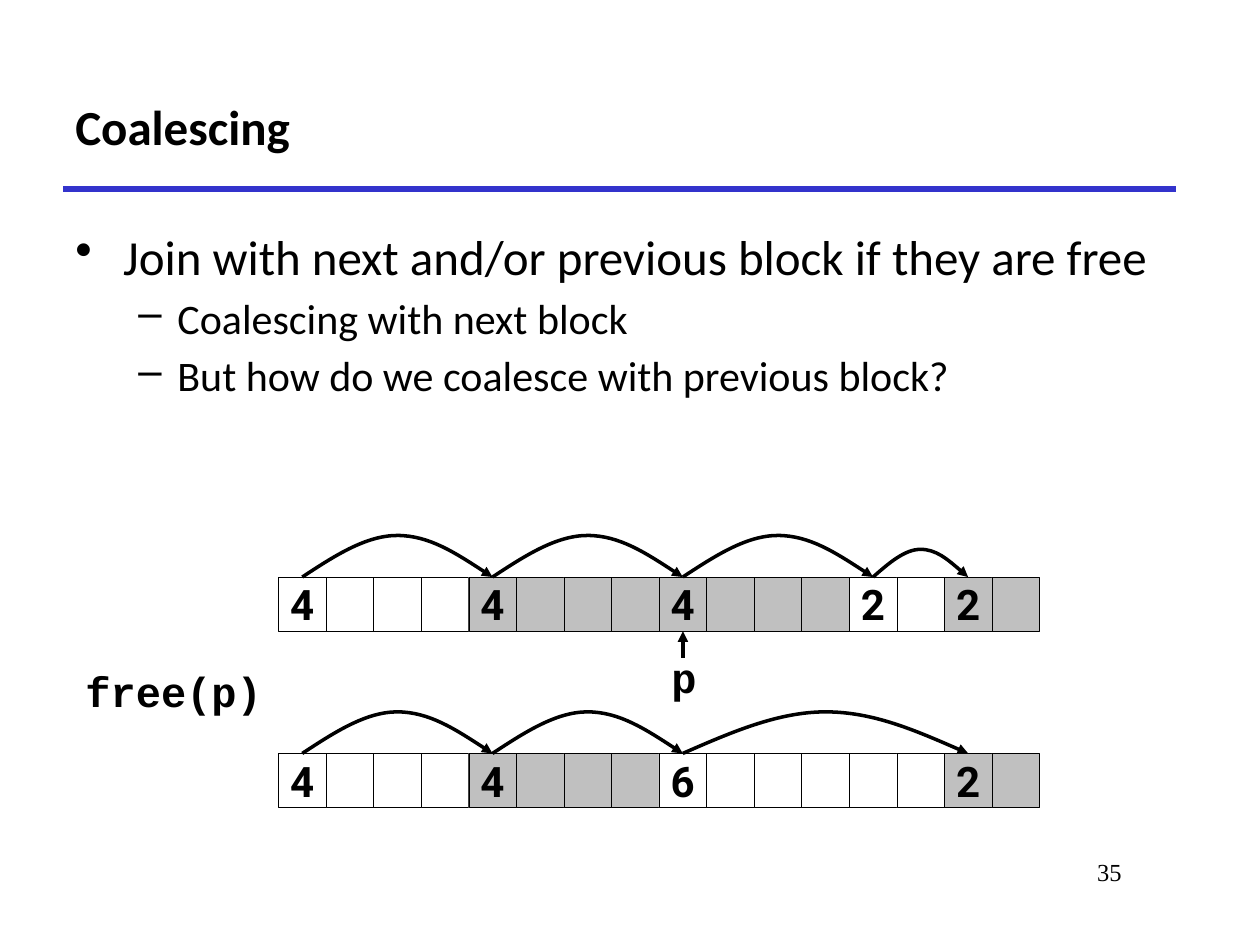
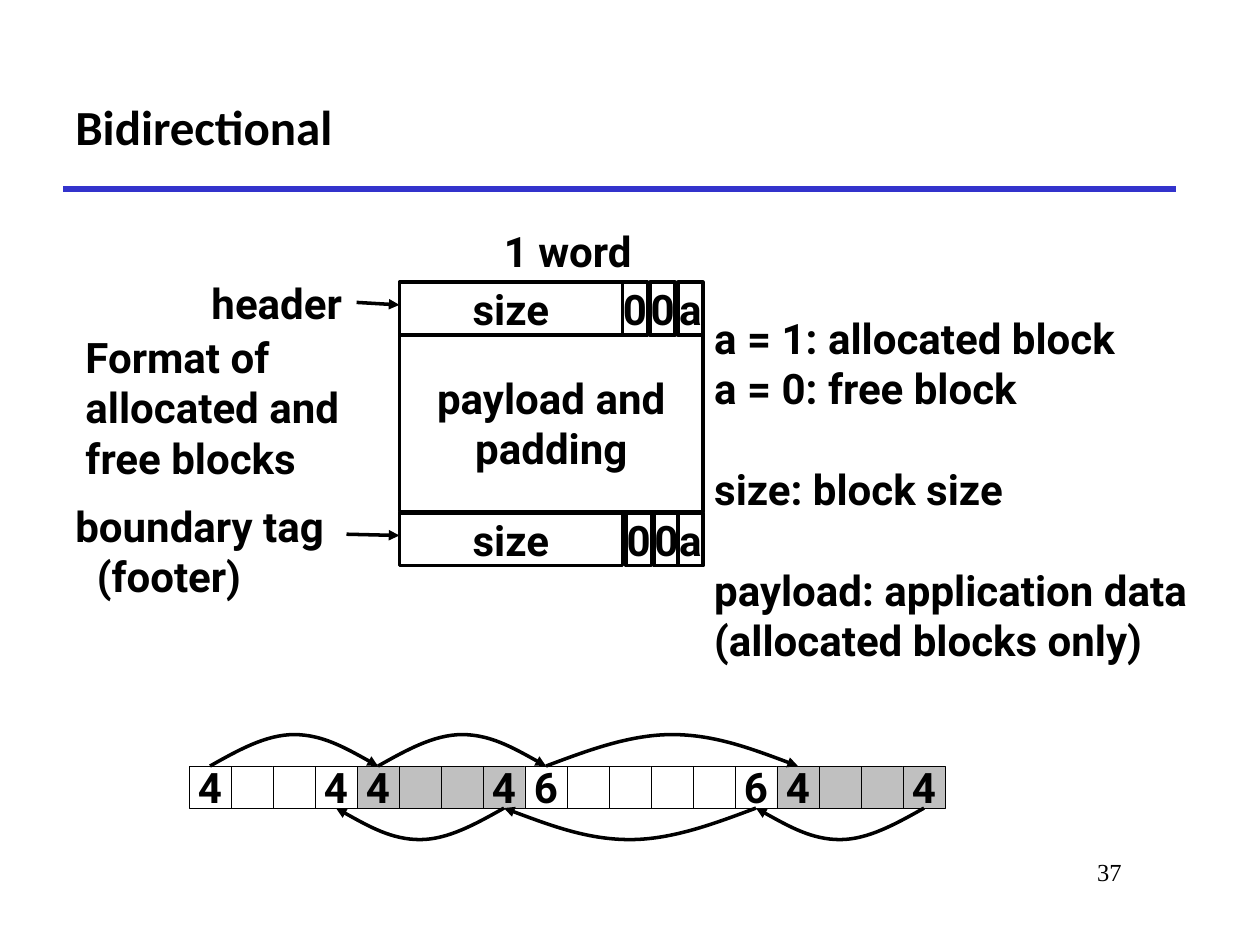
"""Build two slides on coalescing free blocks in a memory allocator."""
import lxml.etree
import pptx
import pptx.dml.color
import pptx.enum.shapes
import pptx.enum.text
import pptx.oxml.ns
import pptx.util

Inches, Pt, qn = pptx.util.Inches, pptx.util.Pt, pptx.oxml.ns.qn
RGB = pptx.dml.color.RGBColor.from_string
ALIGN, ANCHOR = pptx.enum.text.PP_ALIGN, pptx.enum.text.MSO_ANCHOR

THEME = {
    "ink": RGB("000000"),
    "free": RGB("FFFFFF"),
    "allocated": RGB("C0C0C0"),
    "rule": RGB("3333CC"),
    "title": {"name": "Calibri", "size": Pt(28), "bold": True},
    "point": {"name": "Calibri", "size": Pt(28), "bold": False},
    "subpoint": {"name": "Calibri", "size": Pt(24), "bold": False},
    "label": {"name": "Roboto", "size": Pt(24), "bold": True},
    "code": {"name": "Courier New", "size": Pt(24), "bold": True},
    "number": {"name": "Times New Roman", "size": Pt(14), "bold": False},
}


def add_text(s, box, lines, style="label", fill=None, border=0.25, **layout):
    """Add lines of text, in a bordered rectangle when a fill is given."""
    box = [Inches(v) for v in box]
    if fill is None:
        sp = s.shapes.add_textbox(*box)
    else:
        sp = s.shapes.add_shape(pptx.enum.shapes.MSO_SHAPE.RECTANGLE, *box)
        sp.shadow.inherit = False
        sp.fill.solid()
        sp.fill.fore_color.rgb = fill
        sp.line.color.rgb = THEME["ink"]
        sp.line.width = Pt(border)
    tf = sp.text_frame
    tf.word_wrap = fill is None
    tf.vertical_anchor = layout.get("anchor", ANCHOR.TOP if fill is None else ANCHOR.MIDDLE)
    for i, line in enumerate(lines):
        p = tf.paragraphs[0] if i == 0 else tf.add_paragraph()
        p.alignment = layout.get("align", ALIGN.LEFT if fill is None else ALIGN.CENTER)
        r = p.add_run()
        r.text = line
        r.font.color.rgb = THEME["ink"]
        for key, value in THEME[style].items():
            setattr(r.font, key, value)
    return tf


def add_stroke(s, points, color="ink", width=2, arrow=True):
    """Draw a straight line through two points or a curve through Bezier points."""
    points = [(Inches(x), Inches(y)) for x, y in points]
    if len(points) == 2:
        sp = s.shapes.add_connector(pptx.enum.shapes.MSO_CONNECTOR.STRAIGHT, *points[0], *points[1])
    else:
        builder = s.shapes.build_freeform(*points[0])
        builder.add_line_segments(points[1:], close=False)
        sp = builder.convert_to_shape()
        sp.fill.background()
        segments = list(sp.element.iter(qn("a:lnTo")))
        outline = segments[0].getparent()
        for i in range(0, len(segments), 3):
            curve = lxml.etree.SubElement(outline, qn("a:cubicBezTo"))
            for segment in segments[i:i + 3]:
                curve.append(segment[0])
                outline.remove(segment)
    sp.line.color.rgb = THEME[color]
    sp.line.width = Pt(width)
    spPr = sp.element.spPr
    if arrow:
        lxml.etree.SubElement(spPr.find(qn("a:ln")), qn("a:tailEnd"), type="triangle")
    lxml.etree.SubElement(spPr, qn("a:effectLst"))


prs = pptx.Presentation()
prs.slide_width, prs.slide_height = Inches(10), Inches(7.5)

slides = []
for title, number in [("Coalescing", "35"), ("Bidirectional", "37")]:
    s = prs.slides.add_slide(prs.slide_layouts[6])
    add_stroke(s, [(0.5, 1.5), (9.33, 1.5)], "rule", 3, arrow=False)
    add_text(s, (7.58, 6.75, 1.42, 0.5), [number], "number", align=ALIGN.RIGHT)
    add_text(s, (0.5, 0.5, 8.83, 1), [title], "title", anchor=ANCHOR.MIDDLE)
    slides.append(s)
coalescing, bidirectional = slides

points = [
    ("Join with next and/or previous block if they are free", 0),
    ("Coalescing with next block", 1),
    ("But how do we coalesce with previous block?", 1),
]
tf = add_text(coalescing, (0.5, 1.75, 8.83, 4.83), [text for text, level in points], "point")
for i, (p, (text, level)) in enumerate(zip(tf.paragraphs, points)):
    left, hang, bullet, style = [(0.38, 0.38, "•", "point"), (0.81, 0.31, "–", "subpoint")][level]
    pPr = p._p.get_or_add_pPr()
    pPr.set("marL", str(Inches(left)))
    pPr.set("indent", str(-Inches(hang)))
    lxml.etree.SubElement(pPr, qn("a:buChar"), char=bullet)
    p.level = level
    p.space_before = Pt(4 if i else 0)
    p.runs[0].font.size = THEME[style]["size"]

heaps = [
    {"s": coalescing, "x": 2.21, "y": 4.58, "w": 6.04 / 16, "h": 0.43, "lift": 0.33, "footers": False,
     "blocks": [(4, "free"), (4, "allocated"), (4, "allocated"), (2, "free"), (2, "allocated")]},
    {"s": coalescing, "x": 2.21, "y": 5.98, "w": 6.04 / 16, "h": 0.43, "lift": 0.33, "footers": False,
     "blocks": [(4, "free"), (4, "allocated"), (6, "free"), (2, "allocated")]},
    {"s": bidirectional, "x": 1.5, "y": 6.08, "w": 1 / 3, "h": 1 / 3, "lift": 0.25, "footers": True,
     "blocks": [(4, "free"), (4, "allocated"), (6, "free"), (4, "allocated")]},
]
for heap in heaps:
    s, y, w, h = heap["s"], heap["y"], heap["w"], heap["h"]
    headers, footers = [], []
    x = heap["x"]
    for size, state in heap["blocks"]:
        tags = {0, size - 1} if heap["footers"] else {0}
        for i in range(size):
            add_text(s, (x + i * w, y, w, h), [str(size)] if i in tags else [], fill=THEME[state])
        headers.append(x + w / 2)
        x += size * w
        footers.append(x - w / 2)
    arcs = [(a, b, y, -(0.22 if size == 2 else heap["lift"]))
            for a, b, (size, state) in zip(headers, headers[1:], heap["blocks"])]
    if heap["footers"]:
        arcs += [(b, a, y + h, heap["lift"]) for a, b in zip(footers, footers[1:])]
    for start, end, base, rise in arcs:
        heights = [0, 0.5, 1, 1, 1, 0.5, 0]
        add_stroke(s, [(start + (end - start) * i / 6, base + rise * k) for i, k in enumerate(heights)])

add_text(coalescing, (0.58, 5.23, 1.83, 0.66), ["free(p)"], "code")
add_text(coalescing, (5.23, 5.12, 0.46, 0.66), ["p"], "code")
add_stroke(coalescing, [(5.42, 5.22), (5.42, 5.01)])

s = bidirectional
add_text(s, (3.9, 1.74, 1.28, 0.51), ["1 word"])
add_text(s, (1.58, 2.15, 1.31, 0.51), ["header"])
add_text(s, (0.58, 2.58, 2.35, 1.31), ["Format of", "allocated and", "free blocks"])
tf = add_text(s, (0.5, 3.92, 2.33, 0.91), ["boundary tag", "(footer)"])
tf.paragraphs[1]._p.get_or_add_pPr().set("marL", str(Inches(0.17)))
tf = add_text(s, (5.57, 2.43, 4.24, 3.33), [
    "a = 1: allocated block", "a = 0: free block", "size: block size",
    "payload: application data", "(allocated blocks only)"])
for p in tf.paragraphs[2:4]:
    p.space_before = Pt(28.8)
add_stroke(s, [(2.83, 2.4), (3.17, 2.42)])
add_stroke(s, [(2.75, 4.24), (3.17, 4.25)])

add_text(s, (3.17, 2.65, 2.41, 1.41), ["payload and", "padding"], fill=THEME["free"], border=2)
for y, first_bit, second_bit in [(2.24, 4.94, 5.16), (4.07, 4.97, 5.19)]:
    fields = [("size", 3.17, 1.77), ("0", first_bit, 0.2), ("0", second_bit, 0.2), ("a", 5.38, 0.2)]
    for text, x, w in fields:
        add_text(s, (x, y, w, 0.42), [text], fill=THEME["free"], border=2)

prs.save("out.pptx")
